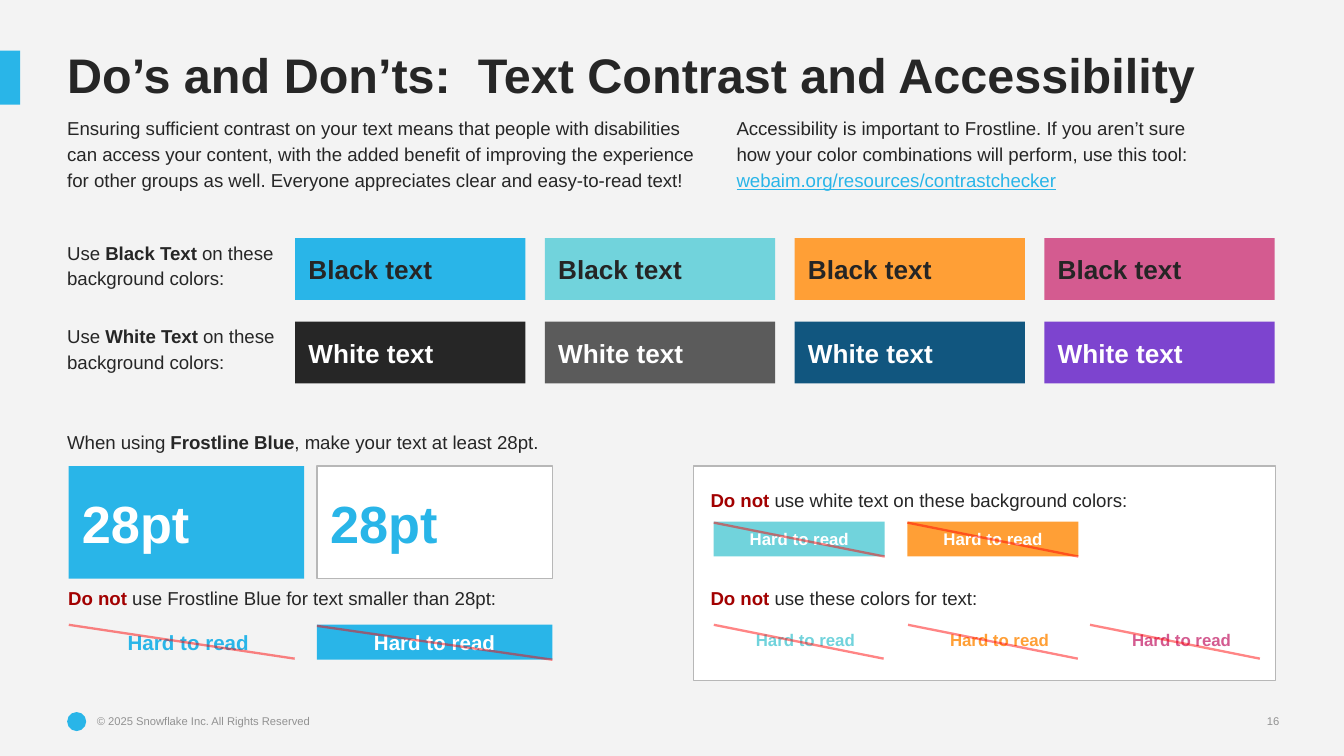
from lxml import etree
from pptx import Presentation
from pptx.dml.color import RGBColor
from pptx.enum.shapes import MSO_CONNECTOR, MSO_SHAPE
from pptx.enum.text import MSO_ANCHOR, MSO_AUTO_SIZE, PP_ALIGN
from pptx.oxml.ns import qn
from pptx.util import Cm, Pt

RECT, OVAL = MSO_SHAPE.RECTANGLE, MSO_SHAPE.OVAL
STRAIGHT = MSO_CONNECTOR.STRAIGHT
TOP, MIDDLE, BOTTOM = MSO_ANCHOR.TOP, MSO_ANCHOR.MIDDLE, MSO_ANCHOR.BOTTOM
LEFT, CENTER, RIGHT = PP_ALIGN.LEFT, PP_ALIGN.CENTER, PP_ALIGN.RIGHT
NO_FIT = MSO_AUTO_SIZE.NONE

BLUE, TEAL, ORANGE, PINK = "29B5E8", "71D3DC", "FF9F36", "D45B90"
INK, BLACK, GREY, NAVY, PURPLE = "262626", "252525", "5B5B5B", "11567F", "7D44CF"
WHITE, PAPER, EDGE, MUTED = "FFFFFF", "F3F3F3", "B7B7B7", "929292"
DARK_RED, RED = "A20000", "FF0000"
PAD = 0.25


def rgb(value):
    return RGBColor.from_string(value)


class SlideBuilder:
    def __init__(self, page, font="Arial"):
        self.page = page
        self.font = font
        page.background.fill.solid()
        page.background.fill.fore_color.rgb = rgb(PAPER)

    def fill_frame(self, frame, spans, size, insets, anchor=TOP, align=LEFT,
                   spacing=1.0):
        """Fill a frame with one paragraph of (text, colour, bold[, underline])."""
        frame.word_wrap = True
        frame.auto_size = NO_FIT
        frame.vertical_anchor = anchor
        (frame.margin_left, frame.margin_top,
         frame.margin_right, frame.margin_bottom) = map(Cm, insets)
        para = frame.paragraphs[0]
        para.alignment = align
        para.line_spacing = spacing
        for text, color, bold, *underline in spans:
            span = para.add_run()
            span.text = text
            span.font.name = self.font
            span.font.size = Pt(size)
            span.font.bold = bold
            span.font.color.rgb = rgb(color)
            if underline:
                span.font.underline = underline[0]
        return para

    def title(self, text, left, top, width, height):
        box = self.page.shapes.title
        box.left, box.top, box.width, box.height = map(
            Cm, (left, top, width, height))
        para = self.fill_frame(box.text_frame, [(text, INK, True)], 26,
                               [PAD] * 4, spacing=0.85)
        para.space_after = Pt(10)

    def text(self, spans, left, top, width, height, size=10,
             insets=(PAD, 0, PAD, 0), **layout):
        box = self.page.shapes.add_textbox(
            Cm(left), Cm(top), Cm(width), Cm(height))
        self.fill_frame(box.text_frame, spans, size, insets, **layout)

    def shape(self, fill, left, top, width, height, kind=RECT, edge=None):
        shape = self.page.shapes.add_shape(
            kind, Cm(left), Cm(top), Cm(width), Cm(height))
        shape.shadow.inherit = False
        shape.fill.solid()
        shape.fill.fore_color.rgb = rgb(fill)
        if edge:
            shape.line.color.rgb = rgb(edge)
            shape.line.width = Pt(0.75)
        else:
            shape.line.fill.background()
        return shape

    def swatch(self, text, color, fill, left, top, width, height, size,
               align=LEFT, edge=None):
        box = self.shape(fill, left, top, width, height, edge=edge)
        self.fill_frame(box.text_frame, [(text, color, True)], size, [PAD] * 4,
                        anchor=MIDDLE, align=align)

    def strike(self, left, top, width):
        """Draw a translucent red line falling across a bad example."""
        line = self.page.shapes.add_connector(
            STRAIGHT, Cm(left), Cm(top), Cm(left + width), Cm(top + 0.64))
        line.line.color.rgb = rgb(RED)
        line.line.width = Pt(1.25)
        properties = line._element.spPr
        color = next(properties.iter(qn("a:srgbClr")))
        etree.SubElement(color, qn("a:alpha"), val="48000")
        etree.SubElement(properties, qn("a:effectLst"))

    def bad_swatch(self, fill, left, top, width, size):
        self.swatch("Hard to read", WHITE, fill, left, top, width, 0.66, size,
                    align=CENTER)
        self.strike(left, top + 0.02, width)

    def bad_text(self, color, left, width, size):
        self.text([("Hard to read", color, True)], left, 11.91, width, 0.43,
                  size=size, insets=(PAD, 0, 0, 0), align=CENTER)
        self.strike(left, 11.81, width)

    def warning(self, text, left, top, width):
        self.text([("Do not", DARK_RED, True), (text, INK, False)],
                  left, top, width, 0.41)


def main():
    deck = Presentation()
    deck.slide_width, deck.slide_height = Cm(25.4), Cm(14.29)
    slide = SlideBuilder(deck.slides.add_slide(deck.slide_layouts[5]))

    # Frame of the page
    slide.shape(BLUE, 0, 0.96, 0.38, 1.02)
    slide.shape(BLUE, 1.27, 13.46, 0.36, 0.36, kind=OVAL)
    slide.text([("© 2025 Snowflake Inc. All Rights Reserved", MUTED, False)],
               1.83, 13.51, 4.67, 0.25, size=6, insets=[0] * 4)
    slide.text([("16", MUTED, False)], 22.86, 13.51, 1.32, 0.25, size=6,
               insets=[0] * 4, anchor=BOTTOM, align=RIGHT)
    slide.title("Do’s and Don’ts:  Text Contrast and Accessibility",
                1.02, 0.76, 23.19, 1.02)

    # Introduction
    slide.text([("Ensuring sufficient contrast on your text means that people "
                 "with disabilities can access your content, with the added "
                 "benefit of improving the experience for other groups as well. "
                 "Everyone appreciates clear and easy-to-read text!",
                 INK, False)],
               1.02, 1.9, 12.65, 1.93, insets=[PAD] * 4, spacing=1.15)
    slide.text([("Accessibility is important to Frostline. If you aren’t sure "
                 "how your color combinations will perform, use this tool: ",
                 INK, False),
                ("webaim.org/resources/contrastchecker", BLUE, False, True)],
               13.67, 1.9, 9.58, 1.93, insets=[PAD] * 4, spacing=1.15)

    # Good pairs of text and background
    rows = [
        ("Black", BLACK, 4.5, [BLUE, TEAL, ORANGE, PINK]),
        ("White", WHITE, 6.08, [INK, GREY, NAVY, PURPLE]),
    ]
    for name, color, top, fills in rows:
        slide.text([("Use ", INK, False), (f"{name} Text ", INK, True),
                    ("on these background colors:", INK, False)],
                   1.02, top, 4.78, 1.17, spacing=1.15)
        for column, fill in enumerate(fills):
            slide.swatch(f"{name} text", color, fill, 5.58 + 4.72 * column, top,
                         4.35, 1.17, 14)

    # Size rule for blue
    slide.text([("When using ", INK, False), ("Frostline Blue", INK, True),
                (", make your text at least 28pt.", INK, False)],
               1.02, 8.08, 9.98, 0.74, spacing=1.15)
    slide.swatch("28pt", WHITE, BLUE, 1.3, 8.81, 4.45, 2.13, 28)
    slide.swatch("28pt", BLUE, WHITE, 5.99, 8.81, 4.45, 2.13, 28, edge=EDGE)
    slide.warning(" use Frostline Blue for text smaller than 28pt:",
                  1.04, 11.1, 9.27)
    slide.bad_text(BLUE, 1.3, 4.27, 11)
    slide.bad_swatch(BLUE, 5.99, 11.81, 4.45, 11)

    # Panel of bad pairs
    slide.shape(WHITE, 13.11, 8.81, 11, 4.06, edge=EDGE)
    slide.warning(" use white text on these background colors:",
                  13.18, 9.25, 10.46)
    slide.warning(" use these colors for text:", 13.18, 11.1, 10.46)
    for fill, left in [(TEAL, 13.49), (ORANGE, 17.15)]:
        slide.bad_swatch(fill, left, 9.86, 3.23, 9)
    for color, left in [(TEAL, 13.49), (ORANGE, 17.16), (PINK, 20.6)]:
        slide.bad_text(color, left, 3.21, 9)

    deck.save("out.pptx")


if __name__ == "__main__":
    main()
